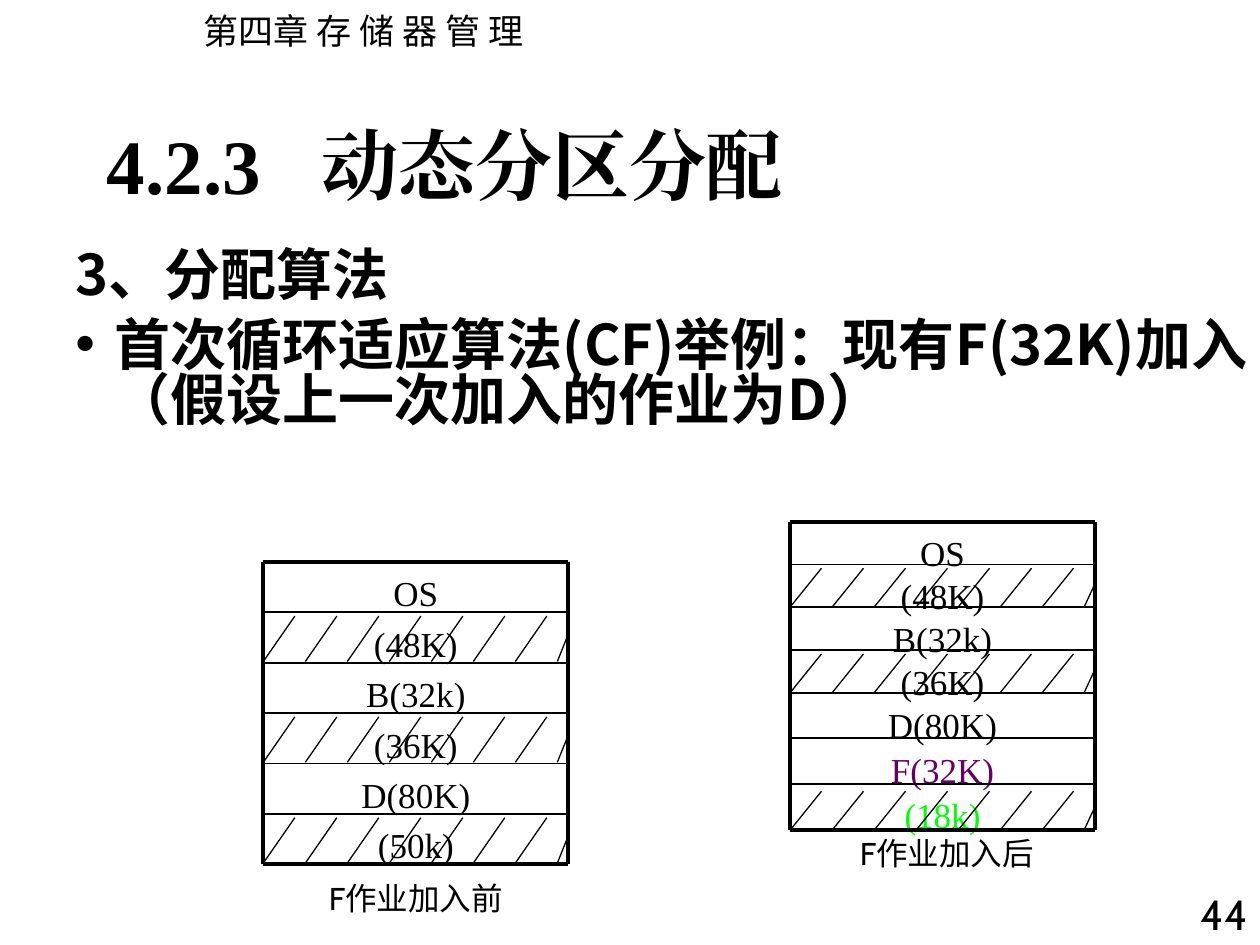
from lxml import etree
from pptx import Presentation
from pptx.dml.color import RGBColor
from pptx.enum.shapes import MSO_CONNECTOR
from pptx.enum.text import MSO_ANCHOR, PP_ALIGN
from pptx.oxml.ns import qn
from pptx.util import Inches, Pt

BLACK = RGBColor(0x00, 0x00, 0x00)
PURPLE = RGBColor(0x66, 0x00, 0x66)
GREEN = RGBColor(0x00, 0xFF, 0x00)
SANS, SERIF, CJK = "Cabin", "Times New Roman", "Noto Sans CJK SC"
CJK_SPACING = 0.83  # tightens the tall lines of the CJK font


def add_box(shapes, left, top, width, height, wrap=True, inset_top=0.05):
    """Add a text box and return its text frame."""
    box = shapes.add_textbox(Inches(left), Inches(top), Inches(width), Inches(height))
    frame = box.text_frame
    frame.word_wrap = wrap
    frame.margin_top = Inches(inset_top)
    return frame


def add_run(paragraph, text, size, font, color=BLACK, bold=False):
    run = paragraph.add_run()
    run.text = text
    run.font.size = Pt(size)
    run.font.name = font
    run.font.bold = bold
    run.font.color.rgb = color
    # Same typeface for the East Asian characters
    east_asian = etree.SubElement(run._r.get_or_add_rPr(), qn("a:ea"))
    east_asian.set("typeface", font)


def add_line(shapes, x1, y1, x2, y2, weight):
    line = shapes.add_connector(
        MSO_CONNECTOR.STRAIGHT, Inches(x1), Inches(y1), Inches(x2), Inches(y2))
    line.line.color.rgb = BLACK
    line.line.width = Pt(weight)
    etree.SubElement(line._element.spPr, qn("a:effectLst"))


def add_header(slide, left, top, width, height):
    paragraph = add_box(slide.shapes, left, top, width, height, wrap=False).paragraphs[0]
    paragraph.line_spacing = CJK_SPACING
    add_run(paragraph, "第四章 存 储 器 管 理", 20, CJK)


def add_title(slide, left, top, width, height):
    frame = add_box(slide.shapes, left, top, width, height)
    frame.vertical_anchor = MSO_ANCHOR.MIDDLE
    paragraph = frame.paragraphs[0]
    # The tab stop separates the section number from its name
    tabs = etree.SubElement(paragraph._p.get_or_add_pPr(), qn("a:tabLst"))
    etree.SubElement(tabs, qn("a:tab"), pos=str(Inches(1.7)), algn="l")
    add_run(paragraph, "4.2.3\t动态分区分配", 44, SERIF, bold=True)


def add_body(slide, left, top, width, height):
    frame = add_box(slide.shapes, left, top, width, height)
    frame.margin_right = 0
    heading, bullet = frame.paragraphs[0], frame.add_paragraph()
    add_run(heading, "3、分配算法", 32, CJK, bold=True)
    add_run(bullet, "首次循环适应算法(CF)举例：现有F(32K)加入（假设上一次加入的作业为D）",
            32, CJK, bold=True)
    properties = bullet._p.get_or_add_pPr()
    properties.set("marL", str(Inches(0.31)))
    properties.set("indent", str(-Inches(0.31)))
    etree.SubElement(properties, qn("a:buFont"), typeface="Arial")
    etree.SubElement(properties, qn("a:buChar"), char="•")
    bullet.space_before = Pt(8)
    for paragraph in (heading, bullet):
        paragraph.line_spacing = CJK_SPACING


def add_hatching(shapes, left, bottom, width, height):
    """Slanted strokes that mark a free partition; the last one is cut short."""
    step, slant, count = 1 / 3, 0.25, 7
    top = bottom - height
    for index in range(count):
        x = left + index * step
        add_line(shapes, x + slant, top, x, bottom, 0.75)
    add_line(shapes, left + width, top + 0.4 * height, left + count * step, bottom, 0.75)


def add_memory_map(slide, left, top, width, rows, hatch_height, hatch_gap, caption, caption_box):
    """Draw stacked partitions; rows hold label, height, free flag and colour."""
    shapes = slide.shapes.add_group_shape().shapes
    right, y = left + width, top
    for index, (label, height, free, color) in enumerate(rows):
        paragraph = add_box(shapes, left, y, width, height, inset_top=0.08).paragraphs[0]
        paragraph.alignment = PP_ALIGN.CENTER
        add_run(paragraph, label, 20, SERIF, color)
        add_line(shapes, left, y, right, y, 1 if index else 2.25)
        y += height
        if free:
            add_hatching(shapes, left, y - hatch_gap, width, hatch_height)
    # Remaining sides of the frame
    add_line(shapes, left, y, right, y, 2.25)
    for x in (left, right):
        add_line(shapes, x, top, x, y, 2.25)
    paragraph = add_box(shapes, *caption_box).paragraphs[0]
    paragraph.alignment = PP_ALIGN.CENTER
    add_run(paragraph, caption, 18, SANS)


def add_page_number(slide, left, top, width, height):
    paragraph = add_box(slide.shapes, left, top, width, height).paragraphs[0]
    paragraph.alignment = PP_ALIGN.RIGHT
    add_run(paragraph, "44", 24, SANS)


def main():
    presentation = Presentation()
    presentation.slide_width, presentation.slide_height = Inches(10), Inches(7.5)
    slide = presentation.slides.add_slide(presentation.slide_layouts[6])

    add_header(slide, 1.52, 0.08, 2.8, 0.44)
    add_page_number(slide, 9.33, 7, 0.67, 0.56)
    add_body(slide, 0.5, 1.94, 9.5, 2.58)

    # Partitions shared by both maps: label and whether free
    shared = [("OS", False), ("(48K)", True), ("B(32k)", False), ("(36K)", True)]
    before = [(label, 0.4, free, BLACK)
              for label, free in shared + [("D(80K)", False), ("(50k)", True)]]
    after = [(label, 0.34, free, BLACK) for label, free in shared]
    after += [("D(80K)", 0.36, False, BLACK), ("F(32K)", 0.36, False, PURPLE),
              ("(18k)", 0.37, True, GREEN)]
    add_memory_map(slide, 2.09, 4.46, 2.42, before, 0.36, 0.01,
                   "F作业加入前", (2.09, 6.93, 2.42, 0.4))
    add_memory_map(slide, 6.27, 4.14, 2.42, after, 0.31, 0,
                   "F作业加入后", (6.1, 6.57, 2.83, 0.4))

    add_title(slide, 0.75, 0.67, 8.5, 1.25)
    presentation.save("out.pptx")


if __name__ == "__main__":
    main()
